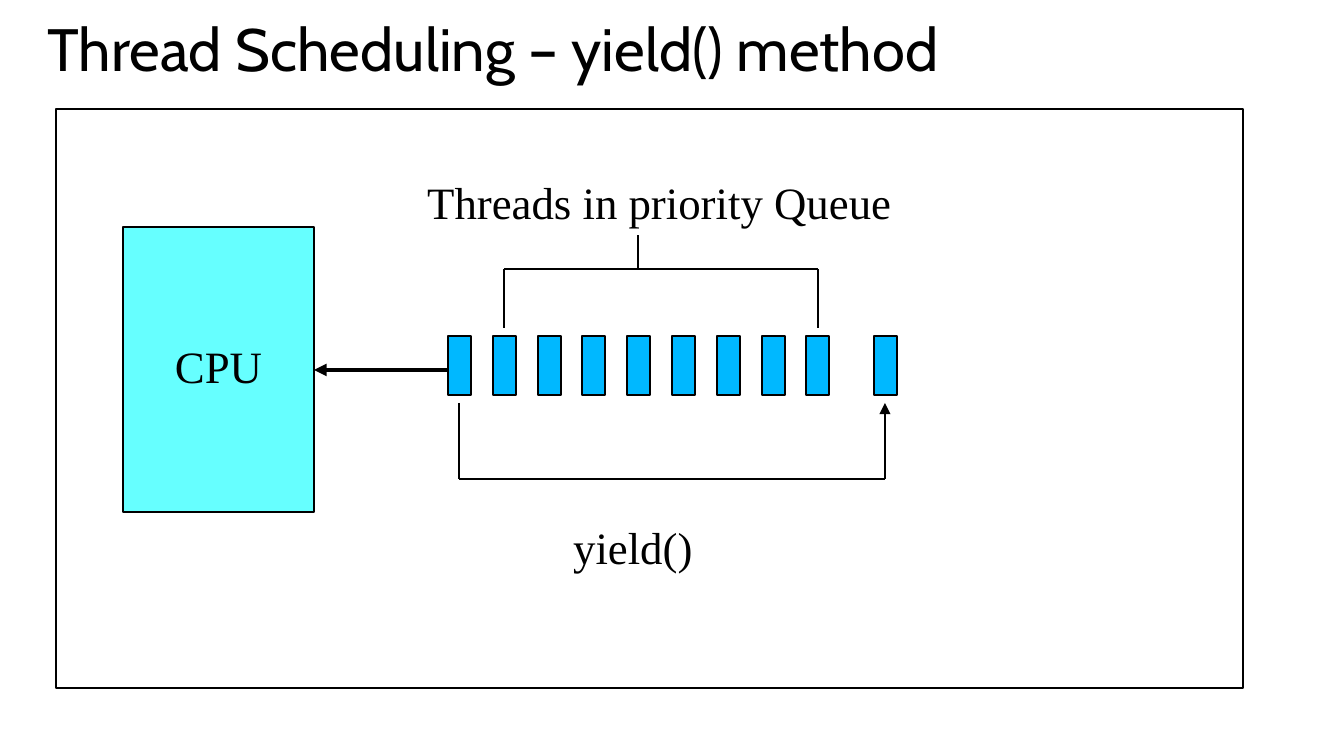
"""Build the slide that shows how yield() moves a thread to the end of the queue."""
from lxml import etree
from pptx import Presentation, util as u
from pptx.dml.color import RGBColor
from pptx.enum import shapes, text
from pptx.oxml.ns import qn

PX = 914400 / 134.4
COLORS = {"ink": "000000", "cpu": "66FFFF", "thread": "00B8FF"}
BODY_FONT = "Times New Roman"

TITLE = ("Thread Scheduling – yield() method", (34, 0, 1275, 93))
FRAME = (56, 109, 1187, 579)
CPU = ("CPU", (123, 227, 191, 285))
LABELS = [
    ("Threads in priority Queue", (414, 176, 492, 60)),
    ("yield()", (560, 521, 403, 60)),
]
QUEUE_LEFT, QUEUE_TOP, QUEUE_PITCH = 448, 336, 44.8
THREAD_SIZE = (23, 59)
THREAD_SLOTS = [*range(9), 9.5]
LINES = [
    ((449, 370), (314, 370), 2.25, True),
    ((504, 269), (504, 328), 0.75, False),
    ((818, 328), (818, 269), 0.75, False),
    ((818, 269), (504, 269), 0.75, False),
    ((638, 269), (638, 235), 0.75, False),
    ((459, 403), (459, 479), 1, False),
    ((459, 479), (885, 479), 0.75, False),
    ((885, 479), (885, 403), 0.75, True),
]


def px(*lengths):
    return [u.Emu(round(length * PX)) for length in lengths]


def write(shape, words, size, font, spacing, anchor, align=text.PP_ALIGN.LEFT):
    frame = shape.text_frame
    frame.word_wrap = True
    frame.auto_size = text.MSO_AUTO_SIZE.NONE
    frame.vertical_anchor = anchor
    frame.text = words
    paragraph = frame.paragraphs[0]
    paragraph.alignment = align
    paragraph.line_spacing = spacing
    paragraph.font.size = u.Pt(size)
    paragraph.font.name = font
    paragraph.font.color.rgb = RGBColor.from_string(COLORS["ink"])


def set_line(shape, width):
    shape.line.color.rgb = RGBColor.from_string(COLORS["ink"])
    shape.line.width = u.Pt(width)


def add_box(slide, box, fill=None):
    shape = slide.shapes.add_shape(shapes.MSO_SHAPE.RECTANGLE, *px(*box))
    shape.shadow.inherit = False
    if fill:
        shape.fill.solid()
        shape.fill.fore_color.rgb = RGBColor.from_string(COLORS[fill])
    else:
        shape.fill.background()
    set_line(shape, 0.75)
    return shape


def add_line(slide, start, end, width, arrow):
    connector = slide.shapes.add_connector(
        shapes.MSO_CONNECTOR.STRAIGHT, *px(*start, *end))
    set_line(connector, width)
    if arrow:
        line = connector.line._get_or_add_ln()
        etree.SubElement(line, qn("a:tailEnd"), type="triangle")
    etree.SubElement(connector._element.spPr, qn("a:effectLst"))


def main():
    presentation = Presentation()
    presentation.slide_width, presentation.slide_height = px(1344, 756)
    slide = presentation.slides.add_slide(presentation.slide_layouts[5])

    words, box = TITLE
    title = slide.shapes.title
    title.left, title.top, title.width, title.height = px(*box)
    write(title, words, 32, "Cabin", 1.03, text.MSO_ANCHOR.MIDDLE)

    add_box(slide, FRAME)
    words, box = CPU
    write(add_box(slide, box, "cpu"), words, 24, BODY_FONT, 0.86,
          text.MSO_ANCHOR.MIDDLE, text.PP_ALIGN.CENTER)

    for slot in THREAD_SLOTS:
        left = round(QUEUE_LEFT + slot * QUEUE_PITCH)
        add_box(slide, (left, QUEUE_TOP, *THREAD_SIZE), "thread")
    for line in LINES:
        add_line(slide, *line)
    for words, box in LABELS:
        write(slide.shapes.add_textbox(*px(*box)), words, 24, BODY_FONT, 0.86,
              text.MSO_ANCHOR.TOP)

    presentation.save("out.pptx")


if __name__ == "__main__":
    main()
